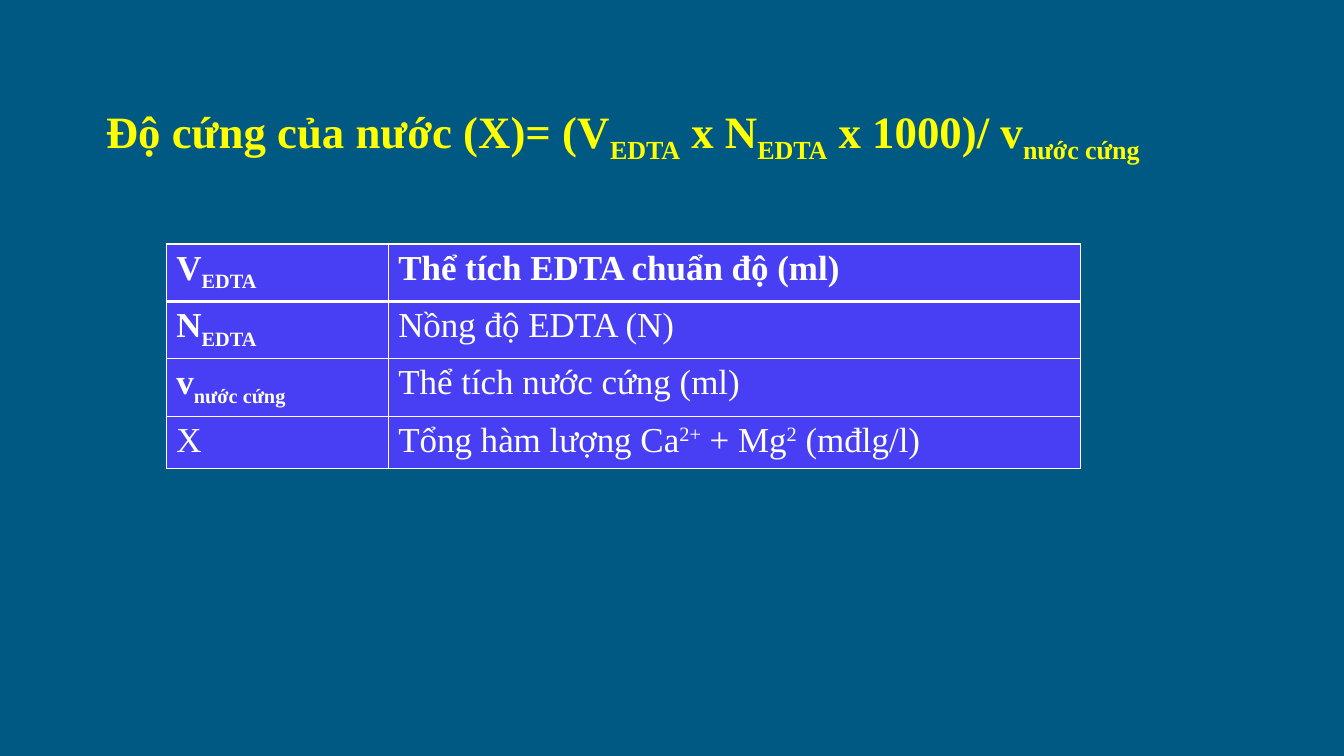
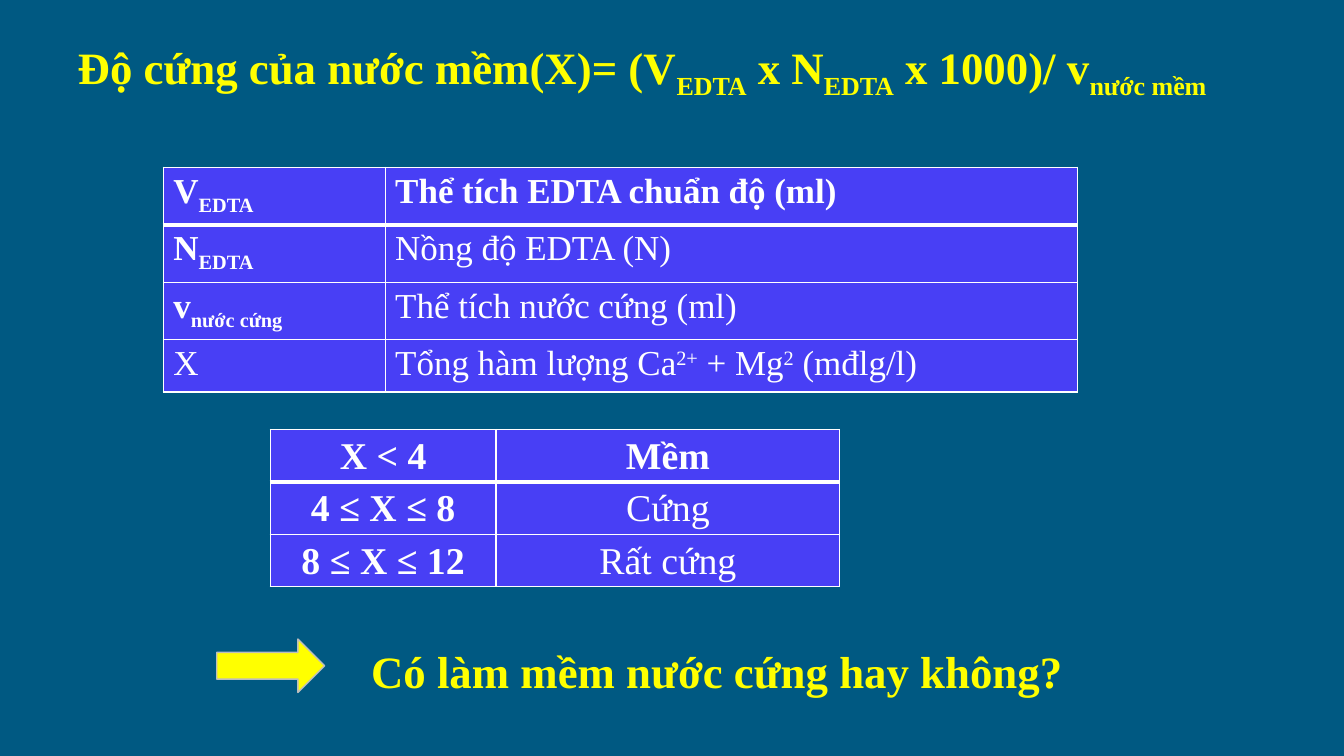
"""Build two slides on computing water hardness from an EDTA titration."""
from lxml import etree
from pptx import Presentation
from pptx.dml.color import RGBColor
from pptx.enum.shapes import MSO_SHAPE
from pptx.enum.text import MSO_ANCHOR, MSO_AUTO_SIZE, PP_ALIGN
from pptx.oxml.ns import qn
from pptx.util import Inches, Pt

BACKGROUND = RGBColor(0x00, 0x59, 0x82)
CELL_FILL = RGBColor(0x48, 0x3F, 0xF5)
WHITE = RGBColor(0xFF, 0xFF, 0xFF)
YELLOW = RGBColor(0xFF, 0xFF, 0x00)
ARROW_LINE = RGBColor(0xBD, 0xBD, 0xBD)
FONT = "Times New Roman"
HEADING_SIZE = 32
SUB, SUPER = -25000, 30000


def add_heading(box, place, runs):
    """Place a box and fill it with one line of yellow heading text."""
    box.left, box.top, box.width, box.height = [Inches(n) for n in place]
    frame = box.text_frame
    frame.word_wrap = True
    frame.auto_size = MSO_AUTO_SIZE.NONE
    frame.vertical_anchor = MSO_ANCHOR.TOP
    frame.margin_left = Inches(0.29)
    para = frame.paragraphs[0]
    para.alignment = PP_ALIGN.LEFT
    add_runs(para, runs, HEADING_SIZE, YELLOW, True)


def add_runs(para, runs, size, color, bold):
    """Add (text, baseline) runs to a paragraph."""
    for text, baseline in runs:
        span = para.add_run()
        span.text = text
        span.font.name = FONT
        span.font.size = Pt(size)
        span.font.bold = bold
        span.font.color.rgb = color
        if baseline:
            span._r.get_or_add_rPr().set("baseline", str(baseline))


SYMBOL_ROWS = [
    [(True, [("V", 0), ("EDTA", SUB)]), (True, [("Thể tích EDTA chuẩn độ (ml)", 0)])],
    [(True, [("N", 0), ("EDTA", SUB)]), (False, [("Nồng độ EDTA (N)", 0)])],
    [(True, [("v", 0), ("nước cứng", SUB)]), (False, [("Thể tích nước cứng (ml)", 0)])],
    [(False, [("X", 0)]),
     (False, [("Tổng hàm lượng Ca", 0), ("2+", SUPER), (" + Mg", 0), ("2", SUPER),
              (" (mđlg/l)", 0)])],
]
HARDNESS_ROWS = [
    [(True, [("X < 4", 0)]), (True, [("Mềm", 0)])],
    [(True, [("4 ≤ X ≤ 8", 0)]), (False, [("Cứng", 0)])],
    [(True, [("8 ≤ X ≤ 12", 0)]), (False, [("Rất cứng", 0)])],
]
SYMBOL_WIDTHS, SYMBOL_HEIGHTS = [2.2, 6.87], [0.57, 0.57, 0.57, 0.52]
HARDNESS_WIDTHS, HARDNESS_HEIGHTS = [2.24, 3.41], [0.52] * 3

deck = Presentation()
deck.slide_width, deck.slide_height = Inches(13.33), Inches(7.5)
master_fill = deck.slide_master.background.fill
master_fill.solid()
master_fill.fore_color.rgb = BACKGROUND
title_only = deck.slide_layouts[5]

pages = []
for place, subject, water in [
    ((0.76, 0.98, 11.43, 0.64), "nước (X)", "nước cứng"),
    ((0.48, 0.34, 12.38, 0.64), "nước mềm(X)", "nước mềm"),
]:
    page = deck.slides.add_slide(title_only)
    add_heading(page.shapes.title, place, [
        (f"Độ cứng của {subject}= (V", 0), ("EDTA", SUB), (" x N", 0), ("EDTA", SUB),
        (" x 1000)/ v", 0), (water, SUB),
    ])
    pages.append(page)
first_page, second_page = pages

for page, left, top, widths, heights, rows, size, centred in [
    (first_page, 1.65, 2.42, SYMBOL_WIDTHS, SYMBOL_HEIGHTS, SYMBOL_ROWS, 25, False),
    (second_page, 1.62, 1.66, SYMBOL_WIDTHS, SYMBOL_HEIGHTS, SYMBOL_ROWS, 25, False),
    (second_page, 2.68, 4.26, HARDNESS_WIDTHS, HARDNESS_HEIGHTS, HARDNESS_ROWS, 27, True),
]:
    table = page.shapes.add_table(
        len(rows), len(widths), Inches(left), Inches(top),
        Inches(sum(widths)), Inches(sum(heights))).table
    table.horz_banding = False
    for column, width in zip(table.columns, widths):
        column.width = Inches(width)
    for row_index, row in enumerate(rows):
        table.rows[row_index].height = Inches(heights[row_index])
        for column_index, (bold, runs) in enumerate(row):
            cell = table.cell(row_index, column_index)
            properties = cell._tc.get_or_add_tcPr()
            header_edge = {0: "lnB", 1: "lnT"}.get(row_index)
            for side in ("lnL", "lnR", "lnT", "lnB"):
                weight = Pt(3 if side == header_edge else 1)
                edge = etree.SubElement(properties, qn(f"a:{side}"), w=str(weight))
                paint = etree.SubElement(edge, qn("a:solidFill"))
                etree.SubElement(paint, qn("a:srgbClr"), val=str(WHITE))
            cell.fill.solid()
            cell.fill.fore_color.rgb = CELL_FILL
            para = cell.text_frame.paragraphs[0]
            if centred:
                cell.margin_left = cell.margin_right = Inches(0.07)
                cell.margin_top = cell.margin_bottom = 0
                para.alignment = PP_ALIGN.CENTER
                para.line_spacing = 1.15
            add_runs(para, runs, size, WHITE, bold)

question = second_page.shapes.add_textbox(0, 0, 0, 0)
add_heading(question, (3.39, 6.34, 8.18, 0.64), [("Có làm mềm nước cứng hay không?", 0)])

arrow = second_page.shapes.add_shape(
    MSO_SHAPE.RIGHT_ARROW, Inches(2.15), Inches(6.34), Inches(1.07), Inches(0.53))
arrow.shadow.inherit = False
arrow.fill.solid()
arrow.fill.fore_color.rgb = YELLOW
arrow.line.color.rgb = ARROW_LINE
arrow.line.width = Pt(1)

deck.save("out.pptx")
